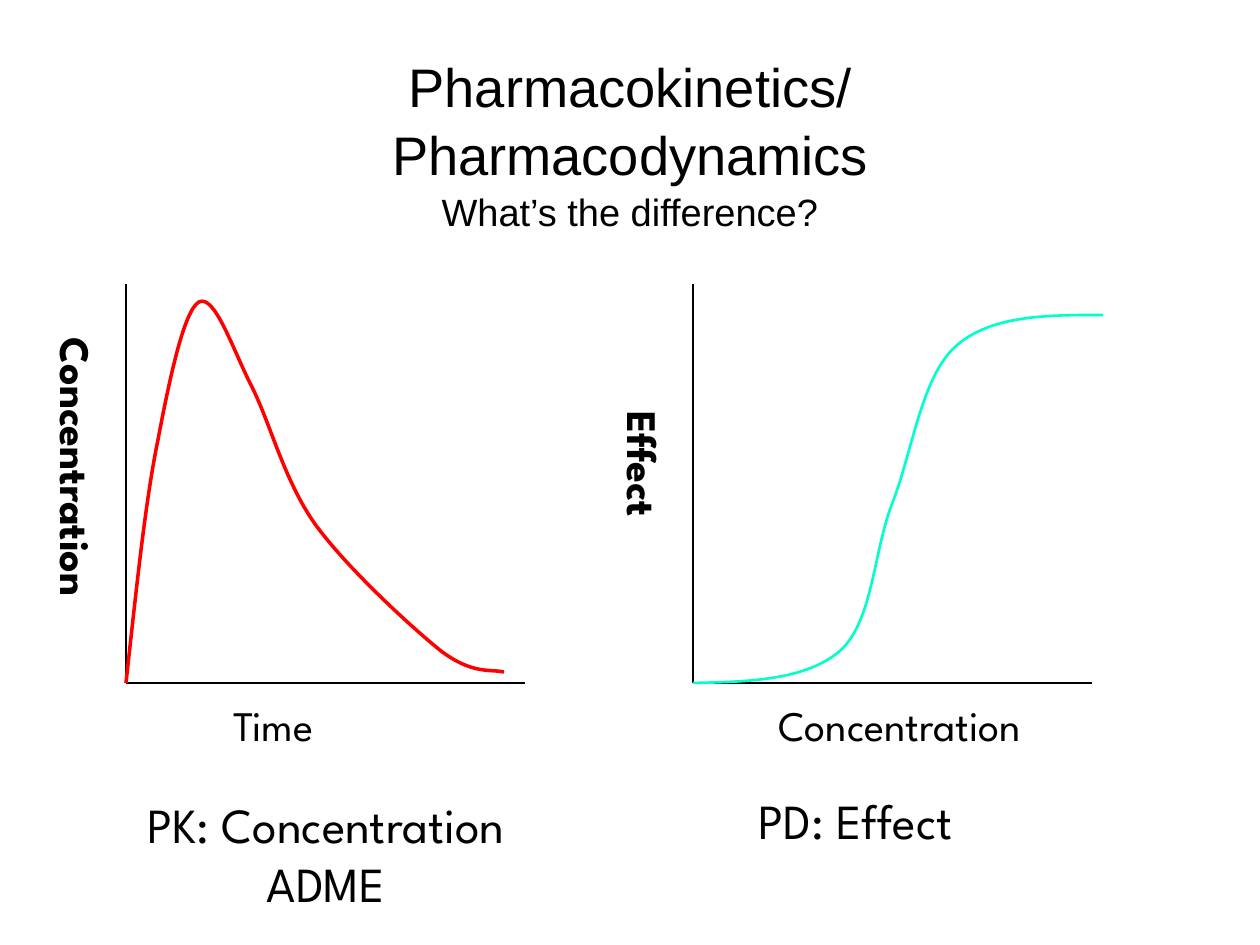
from lxml.etree import SubElement
from pptx import Presentation
from pptx.dml.color import RGBColor
from pptx.enum.shapes import MSO_CONNECTOR
from pptx.enum.text import MSO_ANCHOR, MSO_AUTO_SIZE, PP_ALIGN
from pptx.oxml.ns import qn
from pptx.util import Emu, Pt

PIXEL = 914400 // 126
BLACK, RED, AQUA = "000000", "FF0000", "00FFCC"
AXIS_LENGTH = 399

# Curve points are (right, up) from the plot origin: a start, then Bezier triples.
CONCENTRATION_CURVE = [
    (0, 0),
    (10, 89), (19, 180), (32, 243),
    (44, 306), (58, 372), (73, 381),
    (89, 389), (107, 333), (126, 296),
    (145, 258), (158, 203), (189, 159),
    (221, 115), (284, 57), (315, 32),
    (347, 8), (365, 14), (378, 11),
]
EFFECT_CURVE = [
    (0, 0),
    (57, 1), (113, 3), (147, 32),
    (180, 62), (180, 129), (199, 179),
    (219, 229), (228, 305), (262, 336),
    (297, 368), (354, 368), (410, 368),
]


def px(length):
    """Turn pixels into EMU."""
    return Emu(length * PIXEL)


def color(hex_string):
    """Turn a hex string into a colour."""
    return RGBColor.from_string(hex_string)


def add_text(slide, box, lines, size, bold=False, centered=False, vertical=False):
    """Add a label with one paragraph for each line."""
    shape = slide.shapes.add_textbox(*map(px, box))
    frame = shape.text_frame
    frame.word_wrap = False
    frame.auto_size = MSO_AUTO_SIZE.SHAPE_TO_FIT_TEXT
    frame.text = "\n".join(lines)
    if vertical:
        frame._txBody.bodyPr.set("vert", "eaVert")
    for paragraph in frame.paragraphs:
        font = paragraph.font
        font.name, font.size, font.bold = "League Spartan", Pt(size), bold
        font.color.rgb = color(BLACK)
        if centered:
            paragraph.alignment = PP_ALIGN.CENTER


def add_title(slide, box):
    """Add the two-line title with its smaller question below."""
    frame = slide.shapes.add_textbox(*map(px, box)).text_frame
    frame.word_wrap = True
    frame.vertical_anchor = MSO_ANCHOR.MIDDLE
    paragraph = frame.paragraphs[0]
    paragraph.alignment = PP_ALIGN.CENTER
    paragraph.line_spacing = 1.05
    paragraph.font.name = "Arial"
    paragraph.font.color.rgb = color(BLACK)
    lines = [("Pharmacokinetics/", 31), ("Pharmacodynamics", 31),
             ("What’s the difference?", 21.7)]
    for index, (text, size) in enumerate(lines):
        if index:
            paragraph.add_line_break()
        run = paragraph.add_run()
        run.text = text
        run.font.size = Pt(size)


def add_axis(slide, start, end):
    """Add one thin axis line."""
    axis = slide.shapes.add_connector(
        MSO_CONNECTOR.STRAIGHT, *map(px, (*start, *end)))
    axis.line.color.rgb = color(BLACK)
    axis.line.width = Pt(0.75)
    SubElement(axis._element.spPr, qn("a:effectLst"))


def add_curve(slide, origin, points, line_color, width):
    """Add an open Bezier curve that starts at the plot origin."""
    left, bottom = origin
    start, *rest = [(left + right, bottom - up) for right, up in points]
    builder = slide.shapes.build_freeform(*start, scale=PIXEL)
    builder.add_line_segments(rest, close=False)
    shape = builder.convert_to_shape()
    shape.shadow.inherit = False
    shape.fill.background()
    shape.line.color.rgb = color(line_color)
    shape.line.width = Pt(width)
    path = next(shape._element.iter(qn("a:path")))
    segments = path.findall(qn("a:lnTo"))
    for index in range(0, len(segments), 3):
        bezier = SubElement(path, qn("a:cubicBezTo"))
        for segment in segments[index:index + 3]:
            bezier.append(segment[0])
            path.remove(segment)


def add_plot(slide, left, top, curve, line_color, width):
    """Add a pair of axes with a curve, from the top left corner of the plot."""
    bottom = top + AXIS_LENGTH
    origin = (left, bottom)
    add_axis(slide, (left, top), origin)
    add_axis(slide, origin, (left + AXIS_LENGTH, bottom))
    add_curve(slide, origin, curve, line_color, width)


def main():
    """Build and save the slide."""
    presentation = Presentation()
    presentation.slide_width, presentation.slide_height = px(1260), px(945)
    slide = presentation.slides.add_slide(presentation.slide_layouts[6])

    add_title(slide, (0, 63, 1260, 158))
    add_plot(slide, 126, 284, CONCENTRATION_CURVE, RED, 2)
    add_plot(slide, 693, 284, EFFECT_CURVE, AQUA, 1.5)

    add_text(slide, (221, 693, 121, 63), ["Time"], 24)
    add_text(slide, (766, 693, 324, 63), ["Concentration"], 24)
    add_text(slide, (32, 325, 77, 307), ["Concentration"], 24, bold=True, vertical=True)
    add_text(slide, (599, 399, 77, 126), ["Effect"], 24, bold=True, vertical=True)
    add_text(slide, (94, 788, 464, 131), ["PK: Concentration", "ADME"], 28, centered=True)
    add_text(slide, (746, 784, 257, 72), ["PD: Effect"], 28)

    presentation.save("out.pptx")


main()
